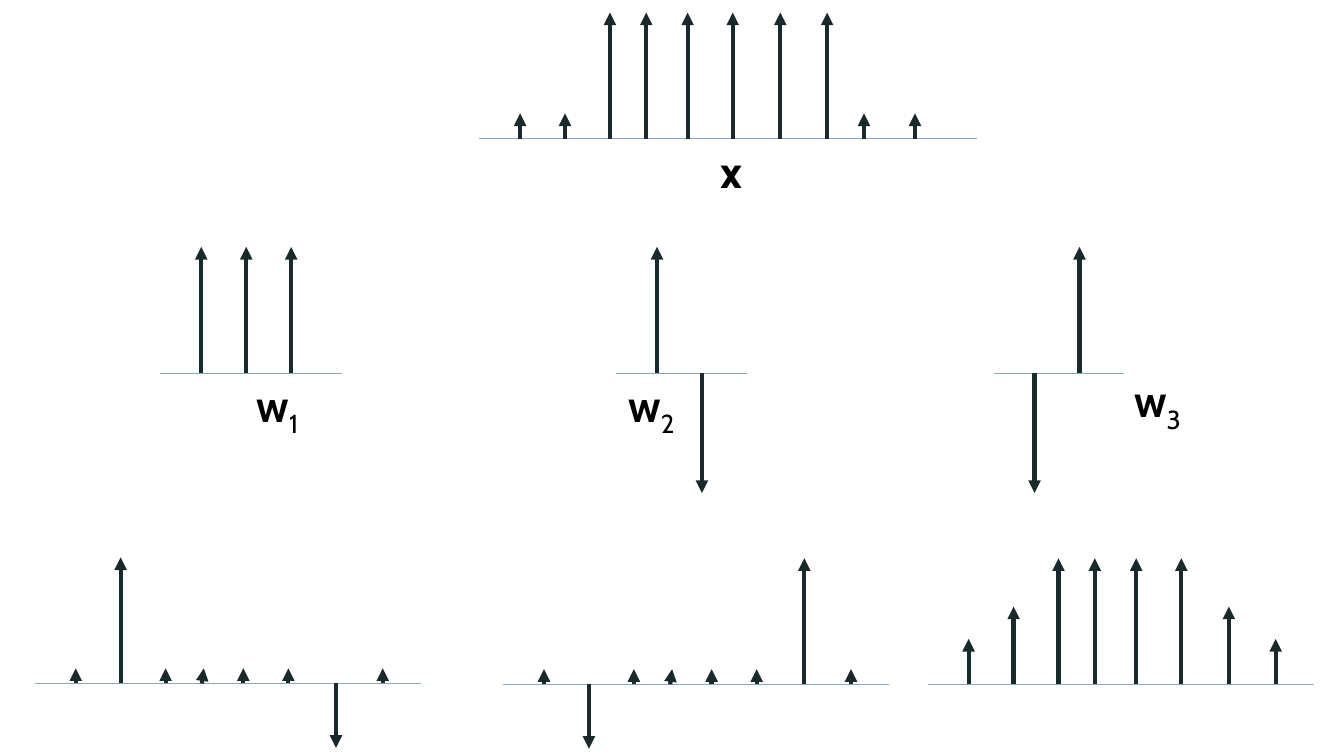
"""Build a slide of a signal, three filter kernels and their convolutions."""
from dataclasses import dataclass

from lxml import etree
from pptx import Presentation
from pptx.dml.color import RGBColor
from pptx.enum import shapes, text
from pptx.oxml import ns
from pptx.util import Pt


@dataclass(frozen=True)
class Theme:
    """Colours, type and line sizes of the slide."""
    stem: RGBColor = RGBColor(0x19, 0x2A, 0x2C)
    axis: RGBColor = RGBColor(0x87, 0xA7, 0xD0)
    label: RGBColor = RGBColor(0, 0, 0)
    font: str = "Cabin"
    label_size: float = 32
    stem_width: float = 3
    axis_width: float = 0.5


@dataclass(frozen=True)
class Signal:
    """An axis with one stem per sample; negative heights point down."""
    left: float
    baseline: float
    width: float
    heights: tuple
    leaning: tuple = ()


THEME = Theme()
OFFSETS = (29.3, 61.4, 93.5, 119.4, 149, 181.2, 215.2, 248.6, 275, 311.4)
TALL, MEDIUM, LOW, SHORT, TINY = 90, 55.5, 32.4, 18, 10.8
KERNEL_DOWN, OUTPUT_DOWN = -85.7, -46
LEAN = 1.4
LABEL_WIDTH, LABEL_HEIGHT = 56.2, 46.1

SIGNALS = (
    Signal(342.2, 99, 355.7, (SHORT,) * 2 + (TALL,) * 6 + (SHORT,) * 2),
    Signal(114.5, 266.4, 129.6, (TALL,) * 3),
    Signal(440, 266.4, 93.5, (TALL, KERNEL_DOWN)),
    Signal(709.7, 266.4, 93.2, (KERNEL_DOWN, TALL)),
    Signal(359.3, 488.8, 275.8,
           (TINY, OUTPUT_DOWN) + (TINY,) * 4 + (TALL, TINY), (3,)),
    Signal(662.6, 488.8, 276,
           (LOW, MEDIUM) + (TALL,) * 4 + (MEDIUM, LOW)),
    Signal(24.8, 488.2, 276,
           (TINY, TALL) + (TINY,) * 4 + (OUTPUT_DOWN, TINY), (3,)),
)
LABELS = (
    ("x", "", 494.4, 99.4),
    ("w", "1", 170.1, 266.4),
    ("w", "2", 437.2, 266.4),
    ("w", "3", 798.6, 263),
)


def add_line(slide, start, end, color, width, arrow=False):
    """Draw a straight line, with an arrowhead at its end if asked."""
    connector = slide.shapes.add_connector(
        shapes.MSO_CONNECTOR.STRAIGHT, *map(Pt, start + end))
    connector.line.color.rgb = color
    connector.line.width = Pt(width)
    if arrow:
        outline = connector.line._get_or_add_ln()
        etree.SubElement(outline, ns.qn("a:tailEnd"), type="triangle")
    etree.SubElement(connector._element.spPr, ns.qn("a:effectLst"))


def add_signal(slide, signal):
    """Draw the axis of a signal and its arrow stems."""
    base = signal.baseline
    add_line(slide, (signal.left, base), (signal.left + signal.width, base),
             THEME.axis, THEME.axis_width)
    for index, (offset, height) in enumerate(zip(OFFSETS, signal.heights)):
        foot = signal.left + offset
        tip = foot + (LEAN if index in signal.leaning else 0)
        add_line(slide, (foot, base), (tip, base - height),
                 THEME.stem, THEME.stem_width, arrow=True)


def add_run(paragraph, content, bold):
    """Add one run in the label style and return it."""
    run = paragraph.add_run()
    run.text = content
    run.font.name = THEME.font
    run.font.size = Pt(THEME.label_size)
    run.font.bold = bold
    run.font.color.rgb = THEME.label
    return run


def add_label(slide, symbol, subscript, left, top):
    """Add a centred bold symbol with an optional subscript."""
    box = slide.shapes.add_textbox(
        *map(Pt, (left, top, LABEL_WIDTH, LABEL_HEIGHT)))
    frame = box.text_frame
    frame.word_wrap = True
    frame.auto_size = text.MSO_AUTO_SIZE.SHAPE_TO_FIT_TEXT
    paragraph = frame.paragraphs[0]
    paragraph.alignment = text.PP_ALIGN.CENTER
    add_run(paragraph, symbol, True)
    if subscript:
        run = add_run(paragraph, subscript, False)
        run._r.get_or_add_rPr().set("baseline", "-25000")


def main():
    """Build and save the presentation."""
    presentation = Presentation()
    presentation.slide_width = Pt(960)
    presentation.slide_height = Pt(540)
    slide = presentation.slides.add_slide(presentation.slide_layouts[6])
    for signal in SIGNALS:
        add_signal(slide, signal)
    for label in LABELS:
        add_label(slide, *label)
    presentation.save("out.pptx")


if __name__ == "__main__":
    main()
